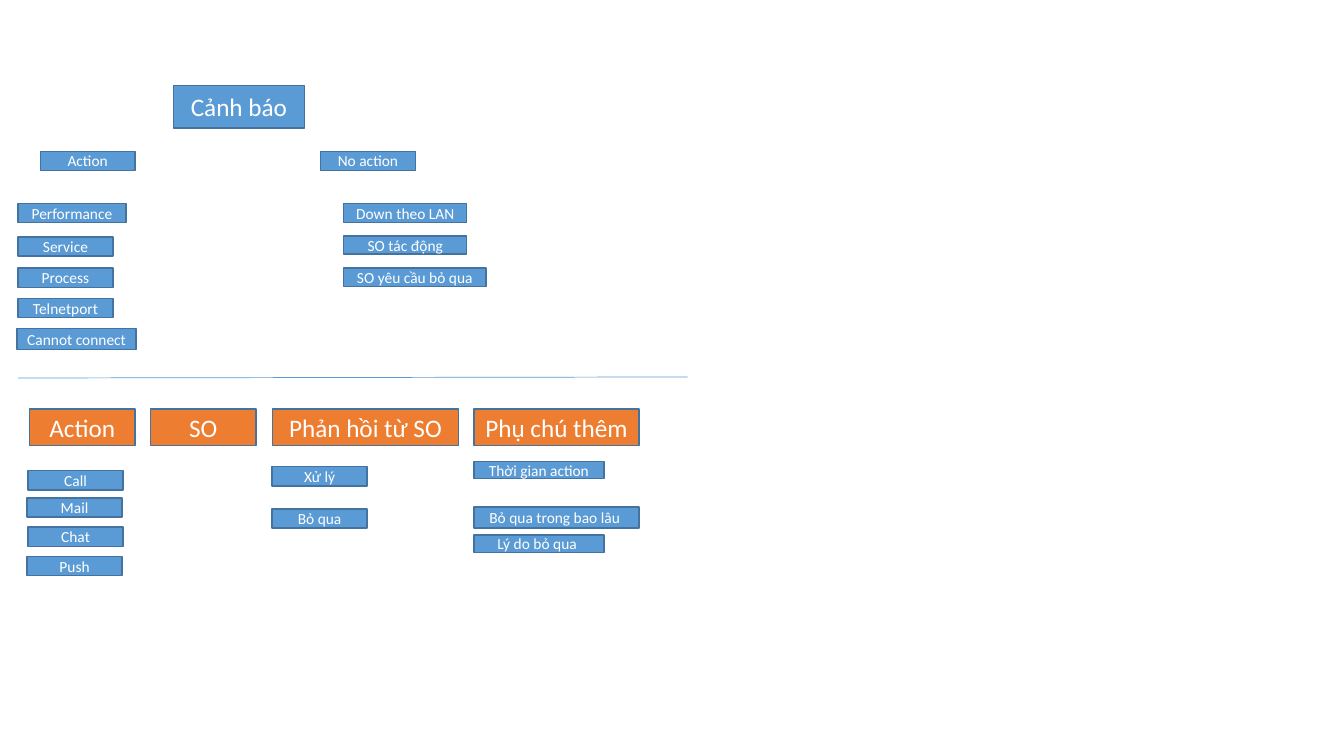
import pptx
import pptx.util
import pptx.dml.color
import pptx.enum.shapes
import pptx.enum.text
import pptx.oxml.ns
import lxml.etree

PX = 9144  # 100 px to the inch
BLUE, ORANGE, EDGE, WHITE = "5B9BD5", "ED7D31", "43739E", "FFFFFF"
HEADING = {"size": pptx.util.Pt(18), "name": "Calibri"}
ITEM = {"size": pptx.util.Pt(11), "name": "Calibri"}


def px(n):
    return pptx.util.Emu(n * PX)


def rgb(code):
    return pptx.dml.color.RGBColor.from_string(code)


def add_box(s, x, y, w, h, text, font=ITEM, fill=BLUE):
    sp = s.shapes.add_shape(pptx.enum.shapes.MSO_SHAPE.RECTANGLE,
                            px(x), px(y), px(w), px(h))
    sp.shadow.inherit = False
    sp.fill.solid()
    sp.fill.fore_color.rgb = rgb(fill)
    sp.line.color.rgb = rgb(EDGE)
    sp.line.width = pptx.util.Pt(1)
    tf = sp.text_frame
    frame = {"word_wrap": True, "margin_left": px(5), "margin_right": px(5),
             "vertical_anchor": pptx.enum.text.MSO_ANCHOR.MIDDLE}
    for key, value in frame.items():
        setattr(tf, key, value)
    p = tf.paragraphs[0]
    p.alignment = pptx.enum.text.PP_ALIGN.CENTER
    r = p.add_run()
    r.text = text
    for key, value in font.items():
        setattr(r.font, key, value)
    r.font.color.rgb = rgb(WHITE)


def add_items(s, left, top, items):
    """Each item is (dx, dy, width, height, text) from the column corner."""
    for dx, dy, w, h, text in items:
        add_box(s, left + dx, top + dy, w, h, text)


def add_alert_tree(s, left, top):
    # Root and its two branches
    add_box(s, left + 155, top, 130, 42, "Cảnh báo", HEADING)
    add_items(s, left, top + 65, [(23, 0, 94, 19, "Action"),
                                  (301, 0, 94, 19, "No action")])
    # Alerts that need action
    add_items(s, left, top + 117, [
        (1, 0, 107, 19, "Performance"),
        (1, 33, 94, 19, "Service"),
        (1, 64, 94, 19, "Process"),
        (1, 94, 94, 19, "Telnetport"),
        (0, 124, 118, 21, "Cannot connect")])
    # Alerts that need none
    add_items(s, left + 324, top + 117, [
        (0, 0, 122, 19, "Down theo LAN"),
        (0, 32, 122, 18, "SO tác động"),
        (0, 64, 141, 18, "SO yêu cầu bỏ qua")])


def add_divider(s, x1, y1, x2, y2):
    line = s.shapes.add_connector(pptx.enum.shapes.MSO_CONNECTOR.STRAIGHT,
                                  px(x1), px(y1), px(x2), px(y2))
    line.line.color.rgb = rgb(BLUE)
    line.line.width = pptx.util.Pt(0.5)
    lxml.etree.SubElement(line._element.spPr, pptx.oxml.ns.qn("a:effectLst"))


def add_response_columns(s, left, top):
    columns = [
        (0, 105, "Action", [(-1, 61, 94, 19, "Call"),
                            (-2, 88, 94, 19, "Mail"),
                            (-1, 117, 94, 19, "Chat"),
                            (-2, 146, 94, 19, "Push")]),
        (120, 105, "SO", []),
        (241, 185, "Phản hồi từ SO", [(0, 57, 94, 19, "Xử lý"),
                                      (0, 99, 94, 19, "Bỏ qua")]),
        (441, 164, "Phụ chú thêm", [(0, 52, 129, 17, "Thời gian action"),
                                    (0, 97, 164, 21, "Bỏ qua trong bao lâu "),
                                    (0, 125, 129, 17, "Lý do bỏ qua ")]),
    ]
    for dx, width, heading, items in columns:
        add_box(s, left + dx, top, width, 36, heading, HEADING, ORANGE)
        add_items(s, left + dx, top, items)


def main():
    prs = pptx.Presentation()
    prs.slide_width, prs.slide_height = px(1333), px(750)
    s = prs.slides.add_slide(prs.slide_layouts[6])
    add_alert_tree(s, 17, 85)
    add_divider(s, 18, 375, 682, 374)
    add_response_columns(s, 29, 406)
    prs.save("out.pptx")


if __name__ == "__main__":
    main()
